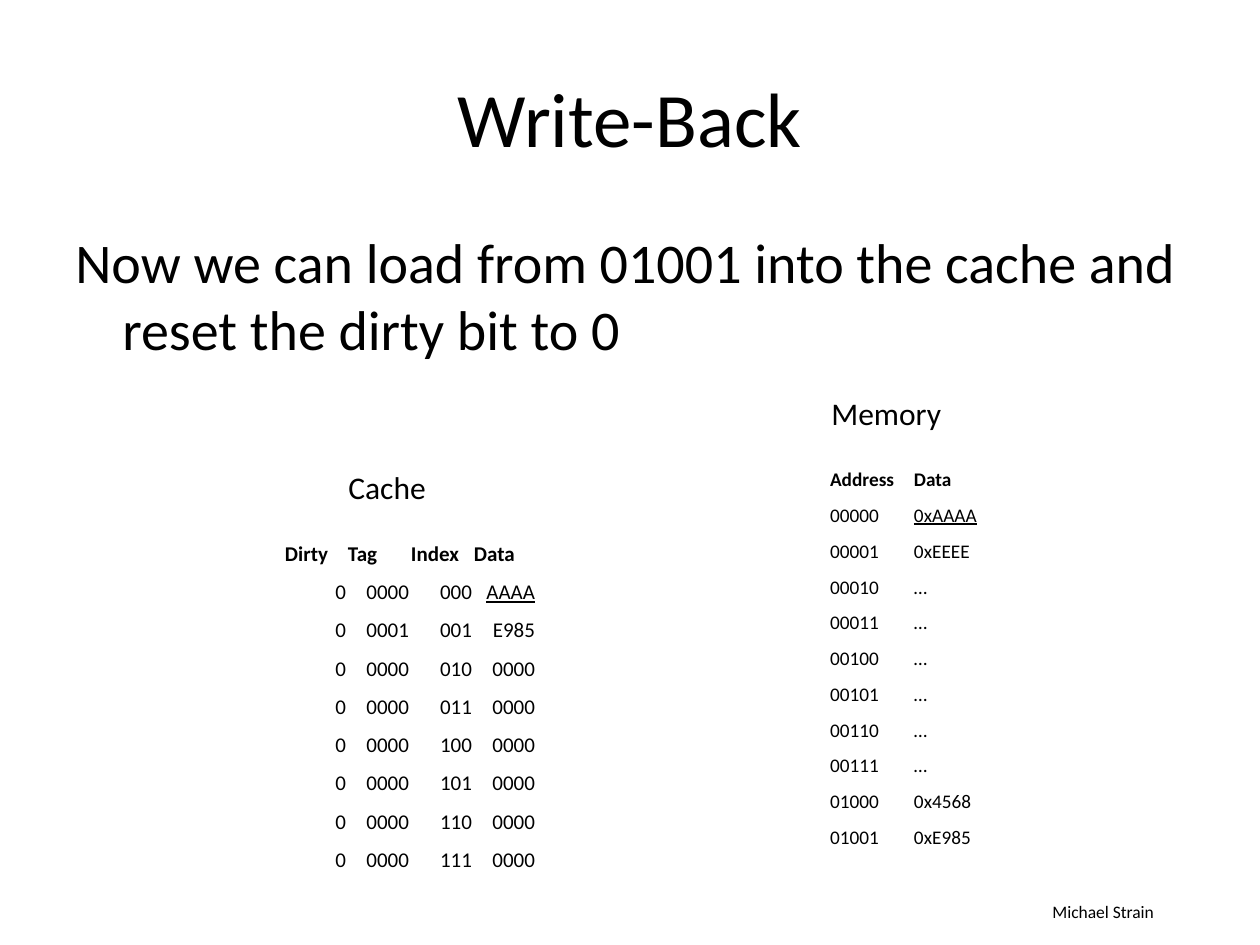
from pptx import Presentation
from pptx.dml.color import RGBColor
from pptx.enum.text import MSO_ANCHOR as Anchor, MSO_AUTO_SIZE as AutoSize, PP_ALIGN as Align
from pptx.oxml.ns import qn
from pptx.util import Emu, Pt

PX_PER_INCH = 126
FONT = "Calibri"
BLACK = "000000"
NO_STYLE_NO_GRID = "{2D5ABB26-0587-4C30-8999-92F81FD0307C}"

CACHE_HEADER = ["Dirty", "Tag", "Index", "Data"]
CACHE_LINES = {"000": ("0000", "AAAA"), "001": ("0001", "E985")}
MEMORY_HEADER = ["Address", "Data"]
MEMORY_DATA = ["0xAAAA", "0xEEEE"] + ["…"] * 6 + ["0x4568", "0xE985"]


def px(length):
    return Emu(round(length * 914400 / PX_PER_INCH))


def color(hex_string):
    return RGBColor.from_string(hex_string)


def style_paragraph(para, size, align=Align.LEFT, bold=False, underline=False):
    para.alignment = align
    font = para.font
    font.name = FONT
    font.size = Pt(size)
    font.bold = bold
    font.underline = underline
    font.color.rgb = color(BLACK)


def add_text(page, text, left, top, width, height, size, align=Align.LEFT,
             anchor=Anchor.TOP, auto_size=AutoSize.NONE):
    box = page.shapes.add_textbox(px(left), px(top), px(width), px(height))
    frame = box.text_frame
    frame.word_wrap = True
    frame.auto_size = auto_size
    frame.vertical_anchor = anchor
    para = frame.paragraphs[0]
    para.text = text
    style_paragraph(para, size, align)
    return para


def add_label(page, text, left, top, width, height, size):
    add_text(page, text, left, top, width, height, size,
             auto_size=AutoSize.SHAPE_TO_FIT_TEXT)


def set_hanging_indent(para, indent):
    properties = para._p.get_or_add_pPr()
    properties.set("marL", str(px(indent)))
    properties.set("indent", str(-px(indent)))


def add_grid(page, rows, left, top, column_width, row_height, size, align, underlined):
    """Add a plain table with a bold header; underlined is the one stressed value."""
    columns = len(rows[0])
    table = page.shapes.add_table(
        len(rows), columns, px(left), px(top),
        px(column_width * columns), px(row_height * len(rows))).table
    table.first_row = table.horz_banding = False
    table._tbl.tblPr.find(qn("a:tableStyleId")).text = NO_STYLE_NO_GRID
    for column in table.columns:
        column.width = px(column_width)
    for row_index, values in enumerate(rows):
        table.rows[row_index].height = px(row_height)
        is_header = row_index == 0
        for column_index, value in enumerate(values):
            cell = table.cell(row_index, column_index)
            cell.fill.background()
            cell.margin_left = cell.margin_right = px(1)
            cell.vertical_anchor = Anchor.BOTTOM
            para = cell.text_frame.paragraphs[0]
            para.text = value
            style_paragraph(para, size, Align.LEFT if is_header else align,
                            bold=is_header, underline=value == underlined)


def cache_rows():
    rows = [CACHE_HEADER]
    for number in range(8):
        index = f"{number:03b}"
        tag, data = CACHE_LINES.get(index, ("0000", "0000"))
        rows.append(["0", tag, index, data])
    return rows


def memory_rows():
    return [MEMORY_HEADER] + [[f"{address:05b}", data]
                              for address, data in enumerate(MEMORY_DATA)]


def main():
    deck = Presentation()
    deck.slide_width, deck.slide_height = px(1260), px(945)
    page = deck.slides.add_slide(deck.slide_layouts[6])

    add_text(page, "Write-Back", 63, 38, 1134, 157, 44, Align.CENTER, Anchor.MIDDLE)
    body = add_text(
        page, "Now we can load from 01001 into the cache and reset the dirty bit to 0",
        63, 221, 1134, 624, 32)
    body.space_before = Pt(8)
    set_hanging_indent(body, 47)

    add_grid(page, cache_rows(), 284, 535, 63, 26, 12, Align.RIGHT, "AAAA")
    add_label(page, "Cache", 336, 462, 210, 50, 18)
    add_grid(page, memory_rows(), 829, 462, 84, 28, 11, Align.LEFT, "0xAAAA")
    add_label(page, "Memory", 819, 388, 168, 50, 18)
    add_label(page, "Michael Strain", 1040, 895, 220, 34, 10)

    deck.save("out.pptx")


if __name__ == "__main__":
    main()
